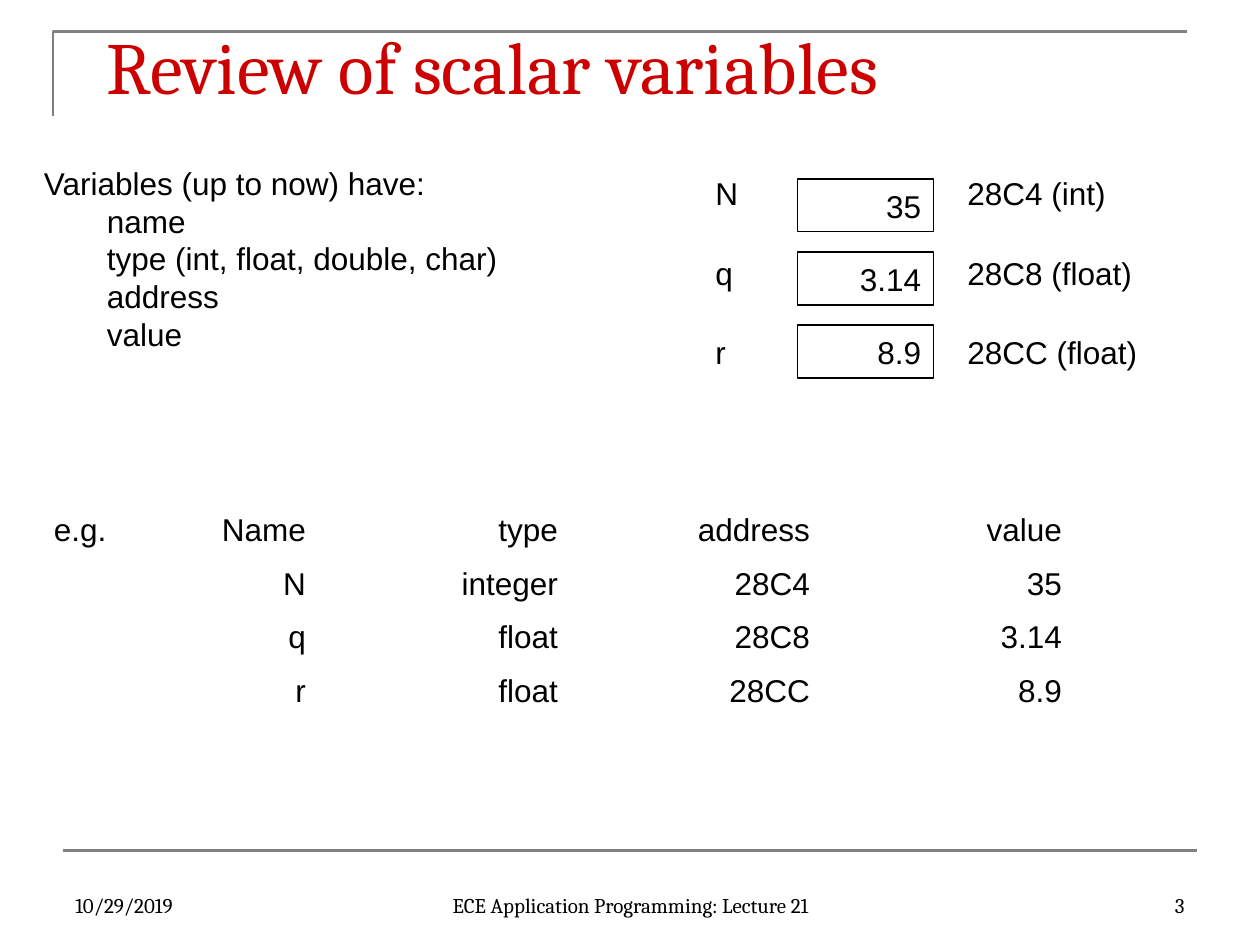
from dataclasses import dataclass
from lxml.etree import SubElement
from pptx import Presentation
from pptx.dml.color import RGBColor as RGB
from pptx.enum.shapes import MSO_CONNECTOR as Link, MSO_SHAPE as Kind
from pptx.enum.text import MSO_ANCHOR as Anchor, PP_ALIGN as Align
from pptx.oxml.ns import qn
from pptx.util import Inches, Pt


@dataclass(frozen=True)
class Theme:
    red: RGB = RGB(0xCC, 0, 0)
    black: RGB = RGB(0, 0, 0)
    gray: RGB = RGB(0x80, 0x80, 0x80)
    head: str = "Cambria"
    body: str = "Arial"
    title: int = 42
    text: int = 18
    foot: int = 12


T = Theme()
BODY = {"name": T.body, "size": Pt(T.text)}
FOOT = {"name": T.head, "size": Pt(T.foot)}
TITLE = {"name": T.head, "size": Pt(T.title)}
VARS = [
    ("N", "integer", "28C4", "35"),
    ("q", "float", "28C8", "3.14"),
    ("r", "float", "28CC", "8.9"),
]


def apply(item, values):
    for key, value in values.items():
        setattr(item, key, value)


def write(frame, lines, font, color=T.black, **para):
    for i, line in enumerate(lines):
        p = frame.paragraphs[0] if i == 0 else frame.add_paragraph()
        p.text = line
        apply(p, para)
        for run in p.runs:
            apply(run.font, font)
            run.font.color.rgb = color


def add_text(slide, area, lines, font, anchor=Anchor.TOP, **para):
    frame = slide.shapes.add_textbox(*map(Inches, area)).text_frame
    apply(frame, {"word_wrap": True, "vertical_anchor": anchor})
    write(frame, lines, font, **para)
    return frame


def set_tabs(frame, stops, side):
    for p in frame.paragraphs:
        tabs = SubElement(p._p.get_or_add_pPr(), qn("a:tabLst"))
        for stop in stops:
            SubElement(tabs, qn("a:tab"), pos=str(Inches(stop)), algn=side)


def add_cell(slide, top, value):
    """Draw one memory cell with its value."""
    box = slide.shapes.add_shape(
        Kind.RECTANGLE, *map(Inches, (6.33, top, 1.08, 0.42)))
    box.shadow.inherit = False
    box.fill.background()
    box.line.color.rgb = T.black
    box.line.width = Pt(0.75)
    apply(box.text_frame,
          {"word_wrap": False, "vertical_anchor": Anchor.MIDDLE})
    write(box.text_frame, [value], BODY, alignment=Align.RIGHT)


def add_frame(slide):
    """Draw the corner rule at the top and the rule above the footer."""
    path = slide.shapes.build_freeform(Inches(0.42), Inches(0.92))
    path.add_line_segments(
        [(Inches(0.42), Inches(0.25)), (Inches(9.42), Inches(0.25))],
        close=False)
    edge = path.convert_to_shape()
    edge.shadow.inherit = False
    edge.fill.background()
    rule = slide.shapes.add_connector(
        Link.STRAIGHT, *map(Inches, (0.5, 6.75, 9.5, 6.75)))
    SubElement(rule._element.spPr, qn("a:effectLst"))
    for shape in (edge, rule):
        shape.line.color.rgb = T.gray
        shape.line.width = Pt(1.5)


def add_foot(slide):
    for left, width, text, side in (
            (0.5, 2.33, "10/29/2019", Align.LEFT),
            (7.17, 2.33, "3", Align.RIGHT),
            (3.42, 3.17, "ECE Application Programming: Lecture 21",
             Align.CENTER)):
        add_text(slide, (left, 6.83, width, 0.5), [text], FOOT,
                 Anchor.BOTTOM, alignment=side)


def main():
    deck = Presentation()
    deck.slide_width, deck.slide_height = Inches(10), Inches(7.5)
    slide = deck.slides.add_slide(deck.slide_layouts[6])
    add_frame(slide)
    title = add_text(slide, (0.75, 0.17, 8.5, 0.58), [], TITLE)
    apply(title, {"margin_top": 0, "margin_bottom": 0})
    write(title, ["Review of scalar variables"], TITLE, T.red)

    parts = ["name", "type (int, float, double, char)", "address", "value"]
    intro = "\v\t".join(["Variables (up to now) have:"] + parts)
    frame = add_text(slide, (0.25, 1.25, 4.92, 1.62), [intro], BODY)
    set_tabs(frame, [0.5], "l")

    kinds = {"integer": "int"}
    places = [f"{name}\t\t{spot} ({kinds.get(kind, kind)})"
              for name, kind, spot, _ in VARS]
    frame = add_text(slide, (5.58, 1.33, 4.17, 1.68), places, BODY,
                     space_before=Pt(24))
    set_tabs(frame, [1, 2], "l")
    for i, row in enumerate(VARS):
        add_cell(slide, 1.42 + 0.58 * i, row[-1])

    rows = ["e.g.\tName\ttype\taddress\tvalue"]
    rows += ["\t" + "\t".join(row) for row in VARS]
    frame = add_text(slide, (0.33, 4, 9.17, 2.3), rows, BODY,
                     space_before=Pt(9))
    set_tabs(frame, [2, 4, 6, 8], "r")
    add_foot(slide)
    deck.save("out.pptx")


if __name__ == "__main__":
    main()
